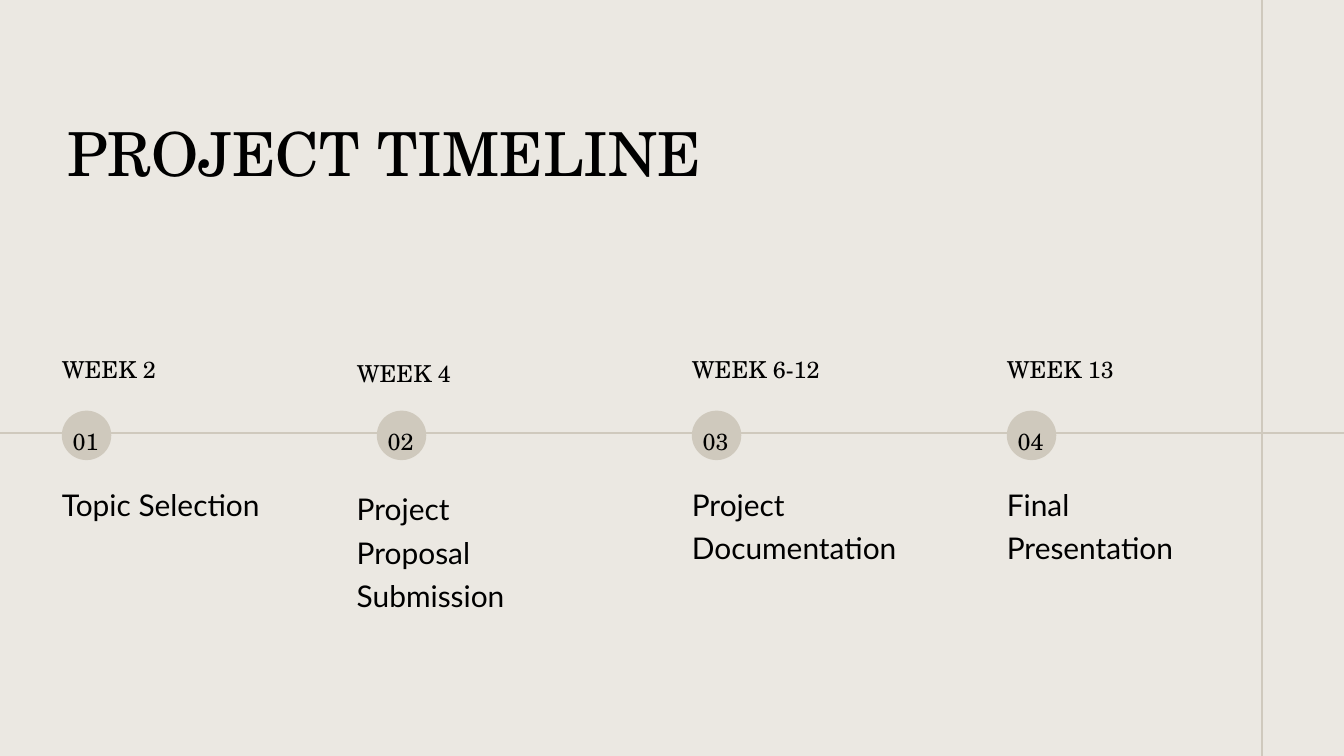
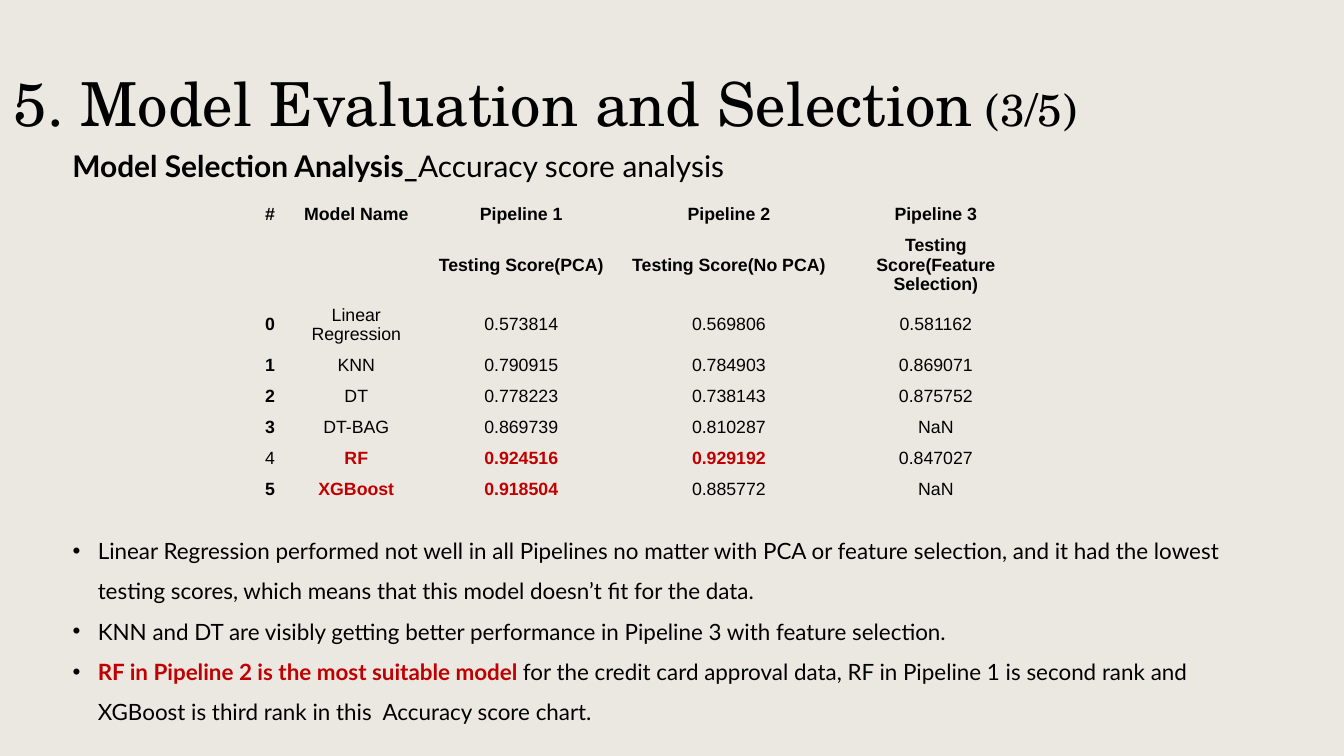
from dataclasses import dataclass

from lxml import etree
from pptx import Presentation
from pptx.dml.color import RGBColor
from pptx.enum.shapes import MSO_CONNECTOR, MSO_SHAPE
from pptx.enum.text import MSO_ANCHOR, MSO_AUTO_SIZE, PP_ALIGN
from pptx.oxml.ns import qn
from pptx.util import Pt

STRAIGHT, OVAL = MSO_CONNECTOR.STRAIGHT, MSO_SHAPE.OVAL
TOP, MIDDLE, BOTTOM = MSO_ANCHOR.TOP, MSO_ANCHOR.MIDDLE, MSO_ANCHOR.BOTTOM
LEFT, CENTER = PP_ALIGN.LEFT, PP_ALIGN.CENTER
GROW, FIXED = MSO_AUTO_SIZE.SHAPE_TO_FIT_TEXT, MSO_AUTO_SIZE.NONE
NO_GRID_STYLE = "{2D5ABB26-0587-4C30-8999-92F81FD0307C}"


@dataclass(frozen=True)
class Theme:
    paper: str = "EBE8E2"
    accent: str = "CFC9BD"
    ink: str = "000000"
    alert: str = "C00000"
    display: str = "TeX Gyre Schola"
    body: str = "Lato"
    grid: str = "Arial"
    title_size: int = 65
    counter_size: int = 48
    text_size: int = 32
    label_size: int = 25
    bullet_size: int = 24
    table_size: int = 19
    line_width: float = 2.25


THEME = Theme()
WIDTH, HEIGHT = 1440, 810

# Content: week, number, task, task box height, offset of the texts
TIMELINE_TITLE = "PROJECT TIMELINE"
STEPS = [
    ("WEEK 2", "01", "Topic Selection", 46.5, (0, 0)),
    ("WEEK 4", "02", "Project Proposal Submission", 93, (-21.5, 4.5)),
    ("WEEK 6-12", "03", "Project Documentation", 93, (0, 0)),
    ("WEEK 13", "04", "Final Presentation", 93, (0, 0)),
]

EVALUATION_TITLE = ("5.\tModel Evaluation and Selection", " (3/5)")
SUBTITLE = ("Model Selection Analysis_", "Accuracy score analysis")
SCORES = [
    ("#", "Model Name", "Pipeline 1", "Pipeline 2", "Pipeline 3"),
    ("", "", "Testing Score(PCA)", "Testing Score(No PCA)",
     "Testing Score(Feature Selection)"),
    ("0", "Linear Regression", "0.573814", "0.569806", "0.581162"),
    ("1", "KNN", "0.790915", "0.784903", "0.869071"),
    ("2", "DT", "0.778223", "0.738143", "0.875752"),
    ("3", "DT-BAG", "0.869739", "0.810287", "NaN"),
    ("4", "RF", "0.924516", "0.929192", "0.847027"),
    ("5", "XGBoost", "0.918504", "0.885772", "NaN"),
]
HEADER_ROWS = 2
BEST_CELLS = {(6, 1), (6, 2), (6, 3), (7, 1), (7, 2)}
PLAIN_INDEX_ROW = 6
COLUMN_WIDTHS = [42.5, 142.5, 211, 234, 209.5]
ROW_HEIGHTS = [30, 75.5, 52.5] + [33.25] * 5

# Each finding: highlighted lead, plain rest
FINDINGS = [
    ("", "Linear Regression performed not well in all Pipelines no matter with PCA "
         "or feature selection, and it had the lowest testing scores, which means "
         "that this model doesn’t fit for the data."),
    ("", "KNN and DT are visibly getting better performance in Pipeline 3 with "
         "feature selection."),
    ("RF in Pipeline 2 is the most suitable model ",
     "for the credit card approval data, RF in Pipeline 1 is second rank and "
     "XGBoost is third rank in this  Accuracy score chart."),
]


# Shared helpers
def color(value):
    return RGBColor.from_string(value)


def add_slide(presentation):
    slide = presentation.slides.add_slide(presentation.slide_layouts[6])
    slide.background.fill.solid()
    slide.background.fill.fore_color.rgb = color(THEME.paper)
    return slide


def style_run(run, name, size, bold=False, ink=THEME.ink):
    run.font.name = name
    run.font.size = Pt(size)
    run.font.bold = bold
    run.font.color.rgb = color(ink)


def add_run(paragraph, text, name, size, bold=False, ink=THEME.ink):
    run = paragraph.add_run()
    run.text = text
    style_run(run, name, size, bold, ink)


def add_box(shapes, left, top, width, height, spacing, align=LEFT):
    """Add a wrapping text box without insets and return its text frame."""
    box = shapes.add_textbox(Pt(left), Pt(top), Pt(width), Pt(height))
    frame = box.text_frame
    frame.word_wrap = True
    frame.auto_size = GROW
    frame.margin_left = frame.margin_right = 0
    frame.margin_top = frame.margin_bottom = 0
    frame.paragraphs[0].line_spacing = spacing
    frame.paragraphs[0].alignment = align
    return frame


def add_text(shapes, text, place, name, size, spacing=1.2, align=LEFT):
    frame = add_box(shapes, *place, spacing, align)
    add_run(frame.paragraphs[0], text, name, size)


def add_line(slide, x1, y1, x2, y2):
    line = slide.shapes.add_connector(STRAIGHT, Pt(x1), Pt(y1), Pt(x2), Pt(y2))
    line.line.color.rgb = color(THEME.accent)
    line.line.width = Pt(THEME.line_width)
    etree.SubElement(line._element.spPr, qn("a:effectLst"))


def set_bullet(paragraph, indent):
    properties = paragraph._p.get_or_add_pPr()
    properties.set("marL", str(Pt(indent)))
    properties.set("indent", str(-Pt(indent)))
    bullet_color = etree.SubElement(properties, qn("a:buClr"))
    etree.SubElement(bullet_color, qn("a:srgbClr"), val=THEME.ink)
    etree.SubElement(properties, qn("a:buFont"), typeface=THEME.grid)
    etree.SubElement(properties, qn("a:buChar"), char="•")


# Timeline slide
def add_marker(slide, number, left, top, diameter):
    shapes = slide.shapes.add_group_shape().shapes
    circle = shapes.add_shape(OVAL, Pt(left), Pt(top), Pt(diameter), Pt(diameter))
    circle.shadow.inherit = False
    circle.fill.solid()
    circle.fill.fore_color.rgb = color(THEME.accent)
    circle.line.fill.background()
    add_text(shapes, number, (left + 4, top + 11.5, 43, 30),
             THEME.display, THEME.label_size, align=CENTER)


def build_timeline(presentation):
    slide = add_slide(presentation)
    first_left, pitch = 66.25, 337.5
    add_line(slide, 0, 463.75, WIDTH, 463.75)
    add_line(slide, 1352.25, HEIGHT, 1352.25, 0)
    add_text(slide.shapes, TIMELINE_TITLE, (72, 100, 846, 103),
             THEME.display, THEME.title_size, spacing=1.31)
    for index, (week, number, task, task_height, (dx, dy)) in enumerate(STEPS):
        left = first_left + index * pitch
        add_text(slide.shapes, week, (left + dx, 374.5 + dy, 265, 36),
                 THEME.display, THEME.label_size)
        add_marker(slide, number, left, 440, 53)
        add_text(slide.shapes, task, (left + dx, 514 + dy, 222, task_height),
                 THEME.body, THEME.text_size)


# Evaluation slide
def add_scores(slide):
    frame = slide.shapes.add_table(
        len(SCORES), len(COLUMN_WIDTHS), Pt(268), Pt(216),
        Pt(sum(COLUMN_WIDTHS)), Pt(sum(ROW_HEIGHTS)))
    table = frame.table
    table.first_row = table.horz_banding = False
    table._tbl.tblPr.find(qn("a:tableStyleId")).text = NO_GRID_STYLE
    for column, width in zip(table.columns, COLUMN_WIDTHS):
        column.width = Pt(width)
    for row, height in zip(table.rows, ROW_HEIGHTS):
        row.height = Pt(height)
    for column in (0, 1):
        table.cell(0, column).merge(table.cell(1, column))

    for row, values in enumerate(SCORES):
        for column, value in enumerate(values):
            cell = table.cell(row, column)
            cell.fill.background()
            if cell.is_spanned:
                continue
            best = (row, column) in BEST_CELLS
            is_index = column == 0 and row != PLAIN_INDEX_ROW
            cell.vertical_anchor = MIDDLE if row else TOP
            paragraph = cell.text_frame.paragraphs[0]
            paragraph.alignment = CENTER
            add_run(paragraph, value, THEME.grid, THEME.table_size,
                    bold=best or is_index or row < HEADER_ROWS,
                    ink=THEME.alert if best else THEME.ink)


def add_findings(slide):
    frame = add_box(slide.shapes, 77.75, 561, 1285, 218, 1.5)
    for index, (lead, rest) in enumerate(FINDINGS):
        paragraph = frame.add_paragraph() if index else frame.paragraphs[0]
        set_bullet(paragraph, 27)
        paragraph.line_spacing = 1.5
        if lead:
            add_run(paragraph, lead, THEME.body, THEME.bullet_size, True, THEME.alert)
        add_run(paragraph, rest, THEME.body, THEME.bullet_size)


def build_evaluation(presentation):
    slide = add_slide(presentation)

    subtitle = add_box(slide.shapes, 68.5, 162, 1187, 34.5, 0.9).paragraphs[0]
    subtitle._p.get_or_add_pPr().set("marL", str(Pt(9)))
    for text, bold in zip(SUBTITLE, (True, False)):
        add_run(subtitle, text, THEME.body, THEME.text_size, bold)

    add_scores(slide)

    frame = add_box(slide.shapes, 7.2, 49.5, 1360, 104, 0.9)
    frame.auto_size = FIXED
    frame.vertical_anchor = BOTTOM
    frame.margin_left = frame.margin_right = Pt(7.2)
    frame.margin_top = frame.margin_bottom = Pt(3.6)
    title = frame.paragraphs[0]
    title.space_after = Pt(6)
    for text, size in zip(EVALUATION_TITLE, (THEME.title_size, THEME.counter_size)):
        add_run(title, text, THEME.display, size)

    add_findings(slide)


def main():
    presentation = Presentation()
    presentation.slide_width, presentation.slide_height = Pt(WIDTH), Pt(HEIGHT)
    build_timeline(presentation)
    build_evaluation(presentation)
    presentation.save("out.pptx")


if __name__ == "__main__":
    main()
